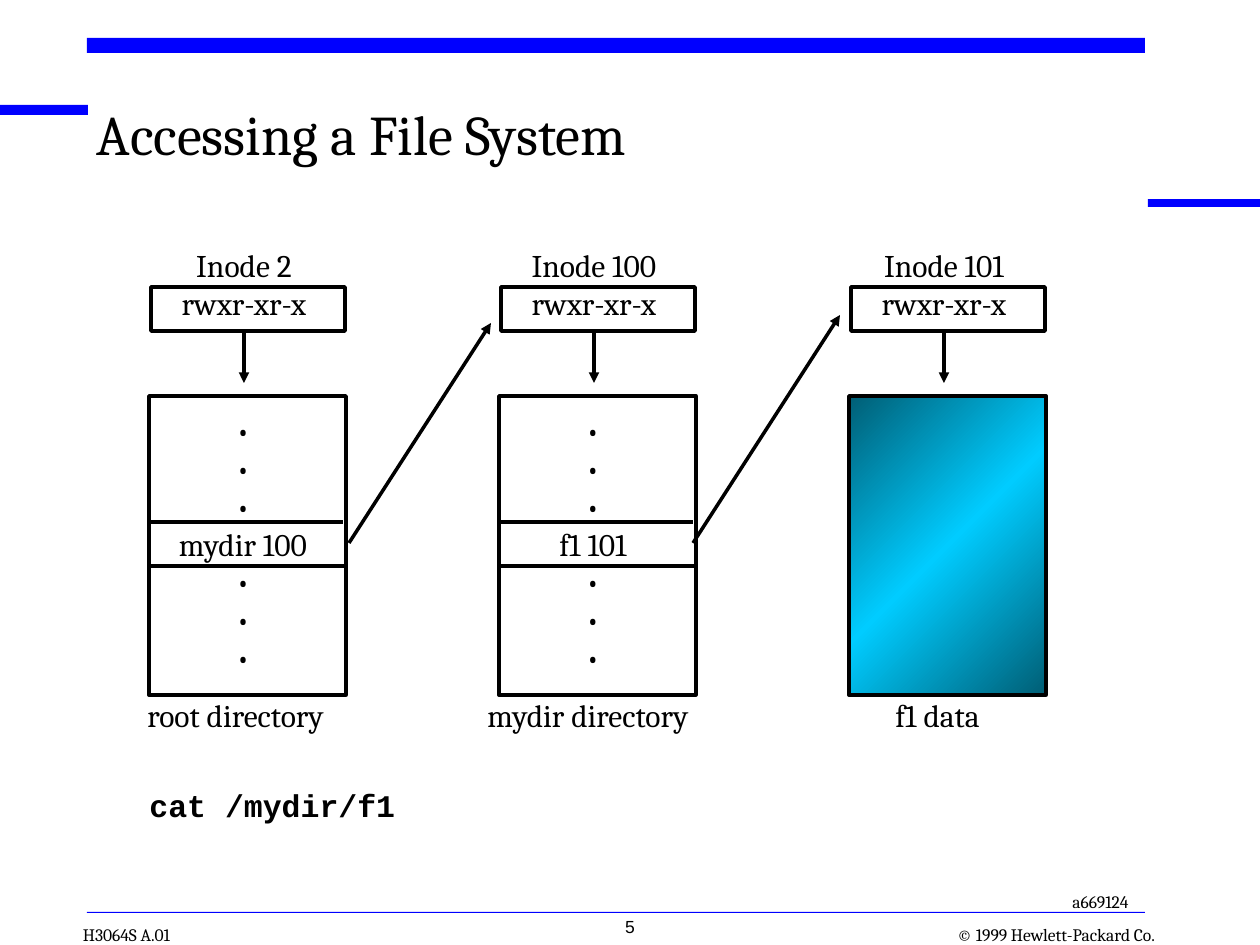
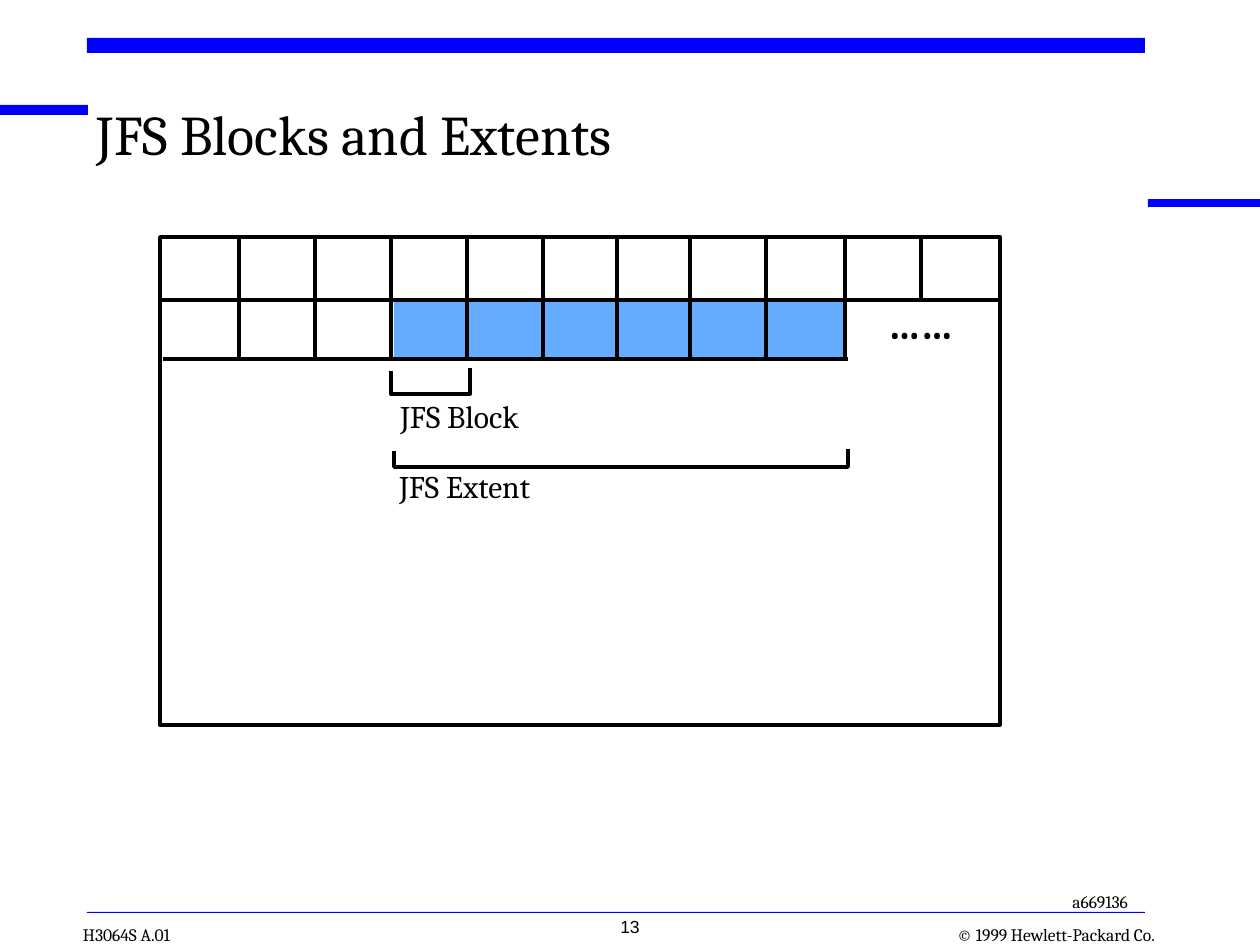
from copy import deepcopy

from lxml import etree
from pptx import Presentation
from pptx import util as u
from pptx.dml.color import RGBColor
from pptx.enum import shapes, text
from pptx.oxml.ns import qn

SCALE = u.Inches(1) / 126
BLACK, BLUE, SKY = "000000", "0000FF", "63ACFF"
SERIF, SANS, MONO = "Cambria", "Arial", "Courier New"
LEFT, CENTER, RIGHT = text.PP_ALIGN.LEFT, text.PP_ALIGN.CENTER, text.PP_ALIGN.RIGHT
LINE_WIDTH = u.Pt(2)
BARS = [(0, 105, 88, 10), (87, 38, 1058, 15), (1148, 199, 113, 8), (87, 912, 1058, 1)]


def px(*lengths):
    return [round(length * SCALE) for length in lengths]


def color(value):
    return RGBColor.from_string(value)


def style_text(frame, size, font, align, bold=False):
    for para in frame.paragraphs:
        para.alignment = align
        for span in para.runs:
            span.font.size = u.Pt(size)
            span.font.name = font
            span.font.bold = bold
            span.font.color.rgb = color(BLACK)


def set_margins(frame, x, y):
    frame.margin_left = frame.margin_right = u.Inches(x)
    frame.margin_top = frame.margin_bottom = u.Inches(y)


def add_text(page, words, place, size=18, font=SERIF, align=LEFT, bold=False):
    box = page.shapes.add_textbox(*px(*place))
    frame = box.text_frame
    frame.text = words
    frame.word_wrap = False
    frame.auto_size = text.MSO_AUTO_SIZE.SHAPE_TO_FIT_TEXT
    set_margins(frame, 0.1, 0.05)
    style_text(frame, size, font, align, bold)
    return box


def add_footer_text(page, words, place, align=LEFT):
    frame = add_text(page, words, place, 10, align=align).text_frame
    set_margins(frame, 0, 0)
    frame.vertical_anchor = text.MSO_ANCHOR.BOTTOM


def outline(shape):
    shape.line.color.rgb = color(BLACK)
    shape.line.width = LINE_WIDTH


def add_frame(page, place):
    shape = page.shapes.add_shape(shapes.MSO_SHAPE.RECTANGLE, *px(*place))
    shape.shadow.inherit = False
    shape.fill.background()
    outline(shape)
    return shape


def add_band(page, place, fill):
    shape = page.shapes.add_shape(shapes.MSO_SHAPE.RECTANGLE, *px(*place))
    shape.shadow.inherit = False
    shape.fill.solid()
    shape.fill.fore_color.rgb = color(fill)
    shape.line.fill.background()


def fill_gradient(shape, edge, middle):
    fill = shape.fill
    fill.gradient()
    fill.gradient_angle = 315
    stop_list = next(shape._element.spPr.iter(qn("a:gsLst")))
    stop_list.insert(1, deepcopy(stop_list[0]))
    for stop, position, value in zip(fill.gradient_stops, (0, 0.5, 1), (edge, middle, edge)):
        stop.position = position
        stop.color.rgb = color(value)


def add_line(page, x1, y1, x2, y2, arrow=False):
    line = page.shapes.add_connector(shapes.MSO_CONNECTOR.STRAIGHT, *px(x1, y1, x2, y2))
    outline(line)
    properties = line._element.spPr
    if arrow:
        etree.SubElement(properties.find(qn("a:ln")), qn("a:tailEnd"), type="triangle")
    etree.SubElement(properties, qn("a:effectLst"))


def add_bracket(page, left, right, bottom, left_height, right_height):
    builder = page.shapes.build_freeform(*px(left, bottom - left_height), scale=1.0)
    corners = [(left, bottom), (right, bottom), (right, bottom - right_height)]
    builder.add_line_segments([px(*corner) for corner in corners], close=False)
    bracket = builder.convert_to_shape()
    bracket.shadow.inherit = False
    bracket.fill.background()
    outline(bracket)


def add_page(deck, heading, code, number):
    page = deck.slides.add_slide(deck.slide_layouts[5])
    for bar in BARS:
        add_band(page, bar, BLUE)
    title = page.shapes.title
    title.left, title.top, title.width, title.height = px(97, 110, 1017, 84)
    frame = title.text_frame
    frame.text = heading
    frame.word_wrap = True
    frame.auto_size = text.MSO_AUTO_SIZE.NONE
    frame.vertical_anchor = text.MSO_ANCHOR.TOP
    set_margins(frame, 0, 0)
    style_text(frame, 32, SERIF, LEFT)
    frame.paragraphs[0].line_spacing = 0.85
    add_footer_text(page, "H3064S A.01", (83, 924, 103, 21))
    add_footer_text(page, "© 1999 Hewlett-Packard Co.", (926, 924, 229, 21), RIGHT)
    add_text(page, code, (1060, 885, 95, 34), 10)
    add_text(page, number, (499, 910, 262, 42), 10, SANS, CENTER)
    return page


def add_inode(page, left, name):
    add_text(page, f"{name}\nrwxr-xr-x", (left + 8, 240, 174, 88), align=CENTER)
    add_frame(page, (left + 2, 287, 194, 44))
    add_line(page, left + 95, 331, left + 95, 383, arrow=True)


def add_directory(page, left, entry):
    dots = ["•"] * 3
    add_text(page, "\n".join(dots + [entry] + dots), (left + 8, 405, 172, 277), align=CENTER)
    add_line(page, left + 2, 522, left + 194, 522)
    add_line(page, left, 566, left + 196, 566)


def build_file_access(deck):
    page = add_page(deck, "Accessing a File System", "a669124", "5")
    columns = [
        ("Inode 2", "mydir 100", "root directory", 135, 228),
        ("Inode 100", "f1 101", "mydir directory", 475, 252),
        ("Inode 101", None, "f1 data", 883, 129),
    ]
    for index, (inode, entry, caption, caption_left, caption_width) in enumerate(columns):
        left = 149 + 350 * index
        add_inode(page, left, inode)
        block = add_frame(page, (left, 396, 197, 299))
        if entry:
            add_directory(page, left, entry)
        else:
            fill_gradient(block, "005E75", "00CCFF")
        add_text(page, caption, (caption_left, 690, caption_width, 50))
    add_line(page, 349, 543, 491, 323, arrow=True)
    add_line(page, 693, 543, 840, 315, arrow=True)
    add_text(page, "cat /mydir/f1", (137, 780, 271, 50), font=MONO, bold=True)


def build_blocks(deck):
    page = add_page(deck, "JFS Blocks and Extents", "a669136", "13")
    top, first_row, second_row = 237, 300, 359
    add_band(page, (394, 302, 451, 58), SKY)
    add_frame(page, (160, top, 840, 488))
    add_line(page, 160, first_row, 998, first_row)
    add_line(page, 163, second_row, 848, second_row)
    for x in (239, 315, 391, 467, 543, 617, 690, 766, 845):
        add_line(page, x, top, x, second_row)
    add_line(page, 921, top, 921, first_row)
    add_text(page, "……", (876, 291, 97, 63), 24, bold=True)
    add_bracket(page, 391, 470, 394, 23, 26)
    add_text(page, "JFS Block", (388, 391, 155, 50))
    add_bracket(page, 394, 848, 467, 16, 18)
    add_text(page, "JFS Extent", (387, 461, 170, 50))


def main():
    deck = Presentation()
    deck.slide_width, deck.slide_height = px(1260, 945)
    build_file_access(deck)
    build_blocks(deck)
    deck.save("out.pptx")


if __name__ == "__main__":
    main()
